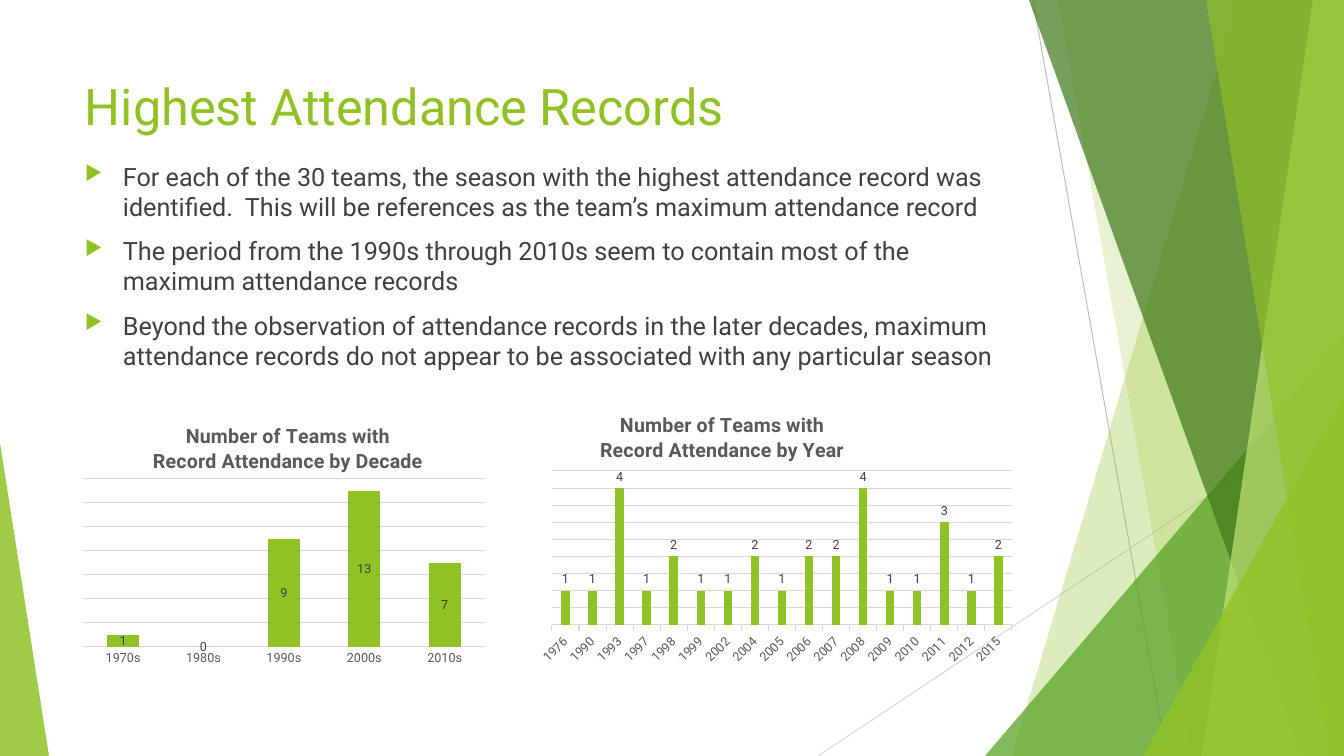
from pptx import Presentation
from pptx.chart.data import CategoryChartData
from pptx.dml.color import RGBColor
from pptx.enum.chart import XL_CHART_TYPE as Kind, XL_LABEL_POSITION as Pos, XL_TICK_MARK as Tick
from pptx.enum.shapes import MSO_CONNECTOR as Wire, MSO_SHAPE as Form
from pptx.enum.text import MSO_ANCHOR as Anchor, PP_ALIGN as Align
from pptx.oxml import parse_xml
from pptx.oxml.ns import nsdecls, qn
from pptx.util import Pt

SCALE = 914400 / 100.8
WIDE, HIGH = 1344, 756
FONT = "Roboto"
HUES = {"lime": "90C226", "leaf": "54A021", "moss": "3F7819", "pale": "C0E474",
        "text": "404040", "label": "595959", "grid": "D9D9D9", "wire": "BFBFBF"}


def px(*nums):
    """Turn pixels into a list of EMU lengths."""
    return [round(n * SCALE) for n in nums]


def hue(name):
    """Look up a colour by name."""
    return RGBColor.from_string(HUES[name])


def style(font, size, color):
    """Set face, size and colour of a font."""
    font.name, font.size = FONT, Pt(size)
    font.color.rgb = hue(color)


def write(frame, lines, size=18, color="text", align=Align.LEFT, before=0, bullet=None):
    """Fill a text frame with one paragraph per line."""
    for i, line in enumerate(lines):
        para = frame.add_paragraph() if i else frame.paragraphs[0]
        para.alignment, para.space_before = align, Pt(before)
        run = para.add_run()
        run.text = line
        style(run.font, size, color)
        if bullet:
            props = para._p.get_or_add_pPr()
            step = px(38)[0]
            props.set("marL", str(step))
            props.set("indent", str(-step))
            for xml in (f'<a:buClr {nsdecls("a")}><a:srgbClr val="{HUES["lime"]}"/></a:buClr>',
                        f'<a:buSzPct {nsdecls("a")} val="80000"/>',
                        f'<a:buChar {nsdecls("a")} char="{bullet}"/>'):
                props.append(parse_xml(xml))


def block(slide, box, lines, anchor=Anchor.TOP, **fmt):
    """Add a wrapped text box."""
    frame = slide.shapes.add_textbox(*px(*box)).text_frame
    frame.word_wrap, frame.vertical_anchor = True, anchor
    write(frame, lines, **fmt)


def paint(shape, color, alpha):
    """Give a shape a see-through fill and no line or shadow."""
    shape.shadow.inherit = False
    shape.line.fill.background()
    shape.fill.solid()
    shape.fill.fore_color.rgb = hue(color)
    tint = shape._element.spPr.find(qn("a:solidFill"))[0]
    tint.append(parse_xml(f'<a:alpha {nsdecls("a")} val="{alpha * 1000}"/>'))


def wire(slide, start, end, color):
    """Draw a thin straight line."""
    line = slide.shapes.add_connector(Wire.STRAIGHT, *px(*start, *end))
    line.line.color.rgb, line.line.width = hue(color), Pt(0.75)
    line._element.spPr.append(parse_xml(f'<a:effectLst {nsdecls("a")}/>'))


def band(slide, box, top, foot, color, alpha):
    """Fill from a slanted edge to the right side of the box."""
    x, y, w, h = box
    pen = slide.shapes.build_freeform(*px(x + top, y), scale=1.0)
    pen.add_line_segments([px(x + w, y), px(x + w, y + h), px(x + foot, y + h)])
    paint(pen.convert_to_shape(), color, alpha)


def wedge(slide, box, wide, high, color, alpha, right=True):
    """Stand a right triangle in a lower corner of the box."""
    x, y, w, h = box
    left = x + w - wide if right else x
    shape = slide.shapes.add_shape(Form.ISOSCELES_TRIANGLE, *px(left, y + h - high, wide, high))
    shape.adjustments[0] = int(right)
    paint(shape, color, alpha)


def facets(slide, box):
    """Draw the layered facets at both sides of the box."""
    x, y, w, h = box
    wire(slide, (x + 1033, y), (x + 1167, y + h), "wire")
    wire(slide, (x + w, y + 406), (x + 818, y + h), "grid")
    band(slide, box, 1238, 1012, "lime", 30)
    band(slide, box, 1058, 1192, "lime", 20)
    wedge(slide, box, 359, 420, "leaf", 72)
    band(slide, box, 1029, 1301, "moss", 70)
    band(slide, box, 1313, 1202, "pale", 70)
    band(slide, box, 1206, 1329, "lime", 65)
    wedge(slide, box, 201, 360, "lime", 80)
    wedge(slide, box, 49, 313, "lime", 85, right=False)


def place(node, index, box, area, inner=False):
    """Pin a chart part to an area given in pixels from the chart's corner."""
    for old in node.findall(qn("c:layout")):
        node.remove(old)
    parts = '<c:layoutTarget val="inner"/>' if inner else ""
    parts += '<c:xMode val="edge"/><c:yMode val="edge"/>'
    for key, num, full in zip("xywh", area, box[2:] * 2):
        parts += f'<c:{key} val="{num / full:.4f}"/>'
    node.insert(index, parse_xml(f'<c:layout {nsdecls("c")}><c:manualLayout>{parts}'
                                 '</c:manualLayout></c:layout>'))


def graph(slide, box, kind, title, data, head, plot, top, unit, gap, lap, pos, tick, turn=0):
    """Add a column chart with its title and plot pinned inside the box."""
    feed = CategoryChartData()
    feed.categories = list(data)
    feed.add_series("Series 1", list(data.values()))
    chart = slide.shapes.add_chart(kind, *px(*box), feed).chart
    chart.has_legend = False
    chart.font.name, chart.font.size = FONT, Pt(10)
    chart.has_title = True
    write(chart.chart_title.text_frame, title, size=14, color="label", align=Align.CENTER)
    place(chart.chart_title._element, 1, box, head)
    place(chart._chartSpace.chart.plotArea, 0, box, plot, inner=True)

    cat, val = chart.category_axis, chart.value_axis
    cat.major_tick_mark, cat.has_major_gridlines = tick, False
    style(cat.tick_labels.font, 9, "label")
    cat._element.find(qn("c:txPr")).find(qn("a:bodyPr")).set("rot", str(turn * 60000))
    val.visible, val.has_major_gridlines = False, True
    val.minimum_scale, val.maximum_scale, val.major_unit = 0, top, unit
    for line in (cat.format.line, val.major_gridlines.format.line):
        line.color.rgb, line.width = hue("grid"), Pt(0.75)

    bars = chart.plots[0]
    bars.gap_width, bars.overlap, bars.vary_by_categories = gap, lap, False
    fill = bars.series[0].format.fill
    fill.solid()
    fill.fore_color.rgb = hue("lime")
    bars.has_data_labels = True
    tags = bars.data_labels
    tags.show_value, tags.position = True, pos
    style(tags.font, 9, "text")


def records(slide, box):
    """Place title, findings and both charts in the box."""
    x, y, w, h = box
    block(slide, (x, y, 948, 75), ["Highest Attendance Records"],
          anchor=Anchor.MIDDLE, size=36, color="lime")
    block(slide, (x, y + 88, w, 250), [
        "For each of the 30 teams, the season with the highest attendance record was "
        "identified.  This will be references as the team’s maximum attendance record",
        "The period from the 1990s through 2010s seem to contain most of the "
        "maximum attendance records",
        "Beyond the observation of attendance records in the later decades, maximum "
        "attendance records do not appear to be associated with any particular season",
    ], before=10, bullet="▶")
    graph(slide, (x, y + 337, 418, 266), Kind.COLUMN_STACKED,
          ["Number of Teams with", "Record Attendance by Decade"],
          {"1970s": 1, "1980s": 0, "1990s": 9, "2000s": 13, "2010s": 7},
          head=(75, 15), plot=(8, 74, 402, 168), top=14, unit=2,
          gap=150, lap=100, pos=Pos.CENTER, tick=Tick.NONE)
    years = ["1976", "1990", "1993", *map(str, range(1997, 2000)), "2002",
             *map(str, range(2004, 2013)), "2015"]
    teams = [1, 1, 4, 1, 2, 1, 1, 2, 1, 2, 2, 4, 1, 1, 3, 1, 2]
    graph(slide, (x + 455, y + 329, 492, 274), Kind.COLUMN_CLUSTERED,
          ["Number of Teams with", "Record Attendance by Year"],
          dict(zip(years, teams)),
          head=(67, 12), plot=(22, 74, 460, 154), top=4.5, unit=0.5,
          gap=219, lap=-27, pos=Pos.OUTSIDE_END, tick=Tick.OUTSIDE, turn=-45)


deck = Presentation()
deck.slide_width, deck.slide_height = px(WIDE, HIGH)
page = deck.slides.add_slide(deck.slide_layouts[6])
facets(page, (0, 0, WIDE, HIGH))
records(page, (75, 68, 960, 603))
deck.save("out.pptx")
